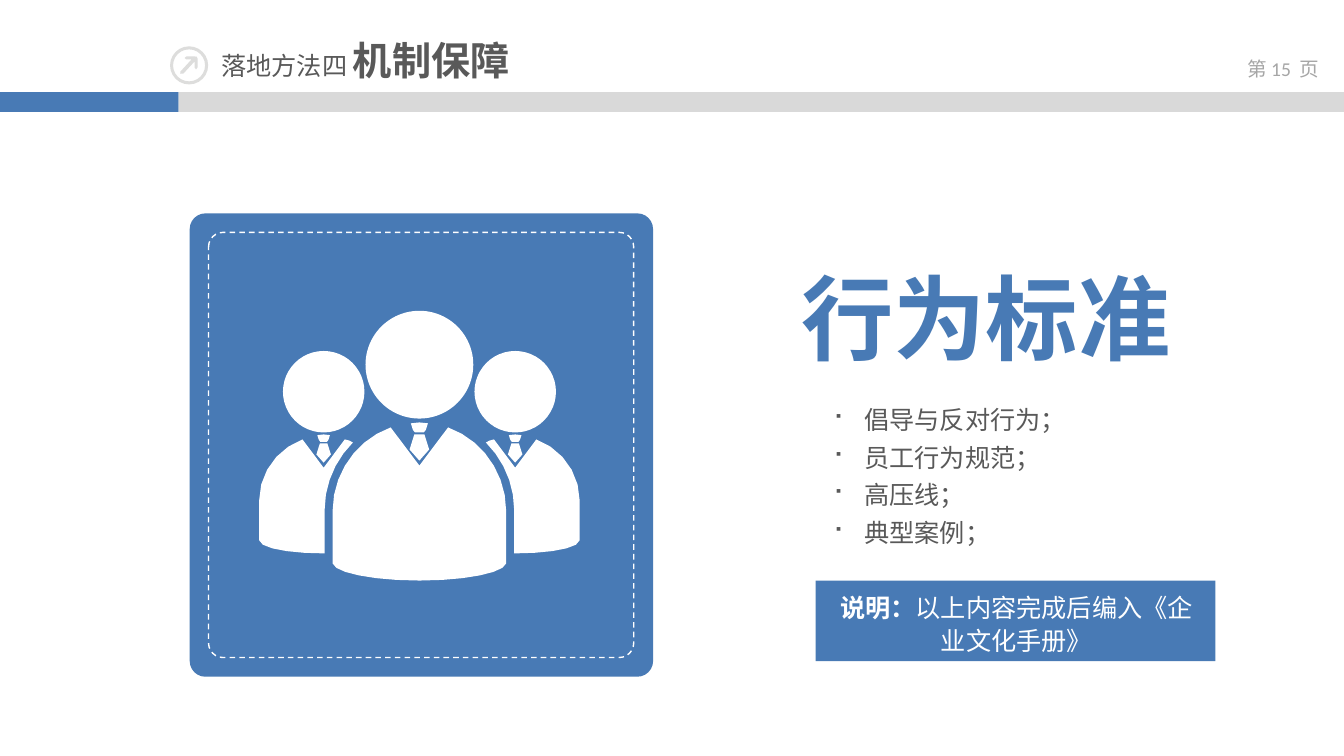
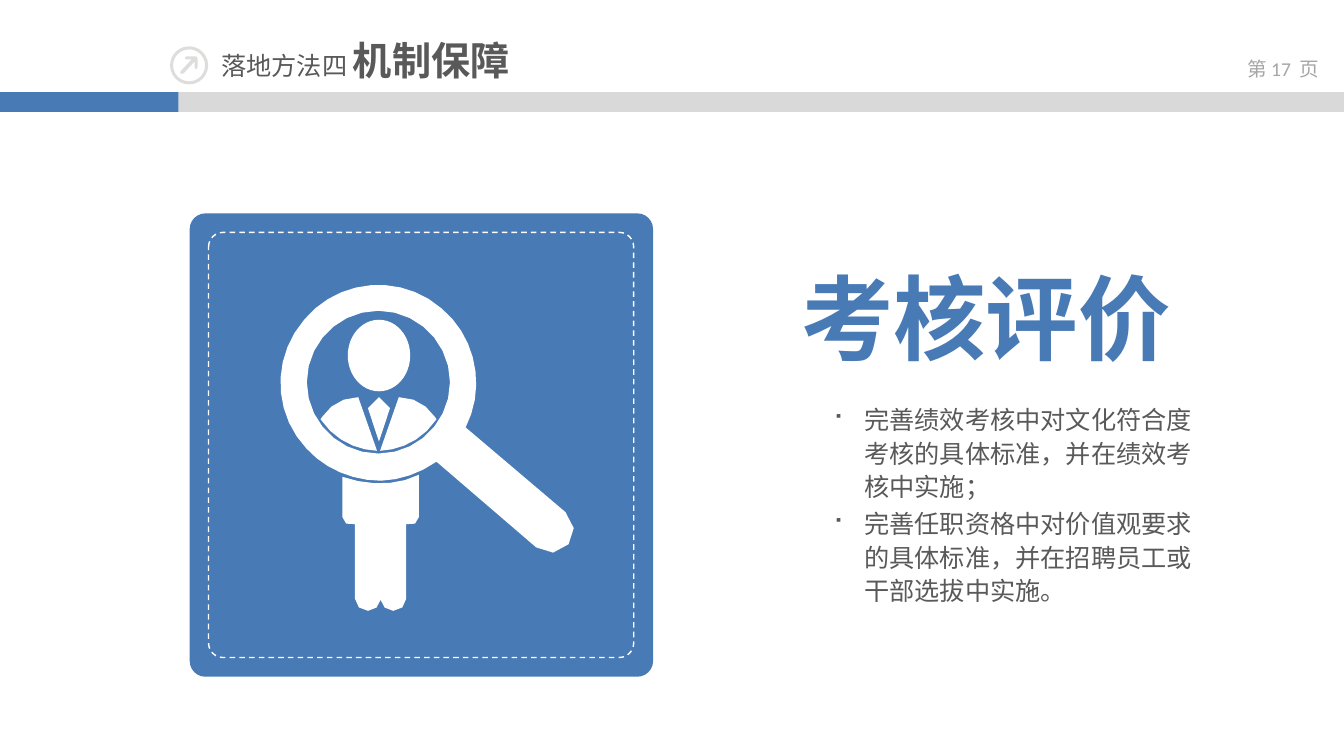
import math

from lxml import etree
from pptx import Presentation
from pptx.dml.color import RGBColor
from pptx.enum import dml, shapes, text
from pptx.oxml import ns
from pptx.util import Pt

BLUE = RGBColor(0x48, 0x7A, 0xB5)
BAND = RGBColor(0xD9, 0xD9, 0xD9)
ICON = RGBColor(0xDD, 0xDD, 0xDC)
DARK = RGBColor(0x59, 0x59, 0x59)
MUTED = RGBColor(0xA6, 0xA6, 0xA6)
WHITE = RGBColor(0xFF, 0xFF, 0xFF)
LATIN, CJK, SYMBOL = "Calibri", "Noto Sans CJK SC", "Wingdings"
PRESET = shapes.MSO_SHAPE
ALIGN = text.PP_ALIGN
CHORD = 10

ARROW = ("M 131 52.6 L 139 43.9 L 139 48.2 C 139 49.7 141.1 50.4 141.1 48.2 L 141.1 41.8 "
         "C 141.1 40.3 140.4 40.3 139 40.3 L 133.2 40.3 C 131 40.3 131.8 42.5 133.2 42.5 "
         "L 136.8 42.5 L 128.9 51.1 C 127.4 52.6 129.6 53.3 131 52.6")
KNOT = ("M -6.1 0.7 C -2.2 -0.2 2.2 -0.2 6.1 0.7 C 6.1 4.3 3.2 7.2 3.2 7.2 "
        "L -3.2 7.2 C -3.2 7.2 -6.1 4.3 -6.1 0.7")
BLADE = "M -3.6 8.6 L 3.6 8.6 L 7 19.4 L 0 27.3 L -7 19.4"
FRONT_BODY = ("M 20.5 305.3 L 0 332.6 L -20.5 305.3 C -44.6 313.9 -62 337.7 -62 365 "
              "L -62 402.5 C -60.5 409 -34 414.7 0 414.7 C 34 414.7 60.5 409 62 402.5 "
              "L 62 365 C 62 337.7 44.6 313.9 20.5 305.3")
SIDE_BODY = ("M 15.1 313.9 L 0 334.1 L -15.1 313.9 C -33.1 320.4 -46.1 337.7 -46.1 357.8 "
             "L -46.1 385.9 C -45.4 391.7 -24.5 395.3 0.7 395.3 L 0.7 364.3 "
             "C 0.7 345.6 8.6 328.3 20.9 316.1 C 19.4 314.6 17.3 314.6 15.1 313.9")
LAPEL = ("M 40.5 298.1 C 34.9 289.4 25.5 283.7 14.5 283.7 L 1.1 322 "
         "C 15 321.5 31 315 41.4 299.5")
SHIRT_TIE = "M -7.9 291.6 L 0 315.4 L 7.9 291.6 L 0 283.7"
LEGS = ("M -27.3 340.6 C -9 347 12 347 27.3 339.1 L 27.3 369.4 C 27.3 373 23 376.5 18.3 374.4 "
        "L 18.3 427.7 C 18.3 432.7 14 436.3 9 436.3 C 4.3 436.3 0.4 432.7 0 428.4 "
        "C -0.4 432.7 -4.3 436.3 -9 436.3 C -14 436.3 -18.3 432.7 -18.3 427.7 "
        "L -18.3 374.4 C -23 376.5 -27.3 373 -27.3 369.4")
MAGNIFIER = ("M 403.9 365.8 L 332.6 305.3 C 347 277.2 340.6 241.2 315.4 220.3 "
             "C 286.6 195.1 241.9 198.7 217.4 228.2 C 193.7 255.6 195.1 295.2 218.9 320.4 "
             "C 232 335 252 343.4 272.2 343.4 C 286 343 300 338 311.8 329.8 L 383 391 "
             "C 390.2 396.7 400.3 396 406.1 388.8 C 411.8 382.3 411.1 372.2 403.9 365.8 "
             "M 219.2 273 C 219.2 245 242 222 270.3 222 C 298.5 222 321.4 245 321.4 273 "
             "C 321.4 301 298.5 324 270.3 324 C 242 324 219.2 301 219.2 273")


def contours(d):
    for part in d.split("M")[1:]:
        points = []
        for step in part.replace("L", "|L").replace("C", "|C").split("|"):
            nums = [float(n) for n in step.strip("LC ").split()]
            pairs = list(zip(nums[::2], nums[1::2]))
            if len(pairs) == 1:
                points += pairs
                continue
            ctrl = [points[-1]] + pairs
            steps = max(2, round(math.dist(ctrl[0], ctrl[-1]) / CHORD))
            for i in range(1, steps + 1):
                t = i / steps
                weights = ((1 - t) ** 3, 3 * t * (1 - t) ** 2, 3 * t * t * (1 - t), t ** 3)
                points.append(tuple(sum(w * c[axis] for w, c in zip(weights, ctrl))
                                    for axis in (0, 1)))
        yield points


class Deck:
    """Holds the presentation, its style and the current slide."""

    def __init__(self):
        self.prs = Presentation()
        self.prs.slide_width, self.prs.slide_height = Pt(960), Pt(540)

    def slide(self, page, headline):
        self.s = self.prs.slides.add_slide(self.prs.slide_layouts[6])
        self.shape(PRESET.RECTANGLE, 0, 65.8, 127.6, 14.2, BLUE)
        self.shape(PRESET.RECTANGLE, 127.6, 65.8, 832.4, 14.2, BAND)
        p = self.box(873.5, 37, 86.4, 28.8).paragraphs[0]
        p.alignment = ALIGN.CENTER
        for word, font in (("第 ", CJK), (f"{page}  ", LATIN), ("页", CJK)):
            self.run(p, word, 14, MUTED, font=font)
        self.shape(PRESET.DONUT, 121.5, 33.1, 27.2, 27.2, ICON, adj=0.08)
        self.outline(ARROW, fill=ICON)
        p = self.box(151, 22.3, 222.5, 41).paragraphs[0]
        self.run(p, "落地方法四 ", 18, DARK)
        self.run(p, "机制保障", 28, DARK, bold=True)
        self.shape(PRESET.ROUNDED_RECTANGLE, 135.5, 152.4, 331, 331, BLUE, adj=0.034)
        frame = self.shape(PRESET.ROUNDED_RECTANGLE, 149, 166, 303.7, 303.7, adj=0.034)
        frame.line.color.rgb = WHITE
        frame.line.width = Pt(1)
        frame.line.dash_style = dml.MSO_LINE.DASH
        p = self.box(563.8, 182.9, 280.8, 87, wrap=False).paragraphs[0]
        p.alignment = ALIGN.CENTER
        self.run(p, headline, 66, BLUE, bold=True)

    def paint(self, sp, fill):
        sp.shadow.inherit = False
        sp.line.fill.background()
        if fill is None:
            sp.fill.background()
        else:
            sp.fill.solid()
            sp.fill.fore_color.rgb = fill
        return sp

    def shape(self, preset, x, y, w, h, fill=None, adj=None):
        sp = self.s.shapes.add_shape(preset, Pt(x), Pt(y), Pt(w), Pt(h))
        if adj is not None:
            sp.adjustments[0] = adj
        return self.paint(sp, fill)

    def outline(self, d, x=0, y=0, sx=1, sy=1, fill=WHITE):
        builder = None
        for points in contours(d):
            pts = [(Pt(x + sx * px), Pt(y + sy * py)) for px, py in points]
            if builder is None:
                builder = self.s.shapes.build_freeform(*pts[0], scale=1.0)
            else:
                builder.move_to(*pts[0])
            builder.add_line_segments(pts[1:], close=True)
        return self.paint(builder.convert_to_shape(), fill)

    def box(self, x, y, w, h, wrap=True):
        tf = self.s.shapes.add_textbox(Pt(x), Pt(y), Pt(w), Pt(h)).text_frame
        tf.word_wrap = wrap
        return tf

    def run(self, p, words, size, color, bold=False, font=LATIN):
        r = p.add_run()
        r.text = words
        r.font.size, r.font.bold = Pt(size), bold
        r.font.color.rgb = color
        r.font.name = font
        etree.SubElement(r.font._element, ns.qn("a:ea"), typeface=CJK)

    def bullets(self, items, h):
        tf = self.box(587.8, 283.4, 276.5, h)
        for i, item in enumerate(items):
            p = tf.add_paragraph() if i else tf.paragraphs[0]
            p.line_spacing, p.space_before = 1.1, Pt(3)
            self.run(p, item, 18, DARK)
            pPr = p._p.get_or_add_pPr()
            pPr.set("marL", str(Pt(22.5)))
            pPr.set("indent", str(Pt(-22.5)))
            etree.SubElement(pPr, ns.qn("a:buFont"), typeface=SYMBOL, charset="2")
            etree.SubElement(pPr, ns.qn("a:buChar"), char="■")
        return tf

    def note(self, tf, label, words):
        p = tf.add_paragraph()
        p.alignment, p.line_spacing, p.space_before = ALIGN.CENTER, 1.1, Pt(30)
        self.run(p, label, 18, WHITE, bold=True)
        self.run(p, words, 18, WHITE)

    def person(self, x, head_top, head, tie_top, tie_scale, body, flip=1):
        self.shape(PRESET.OVAL, x - head / 2, head_top, head, head, WHITE)
        self.outline(body, x, sx=flip)
        for part in (KNOT, BLADE):
            self.outline(part, x, tie_top, tie_scale, tie_scale)

    def team(self):
        center, gap = 299.6, 68.4
        self.person(center, 222, 77, 301.7, 1, FRONT_BODY)
        for side in (-1, 1):
            self.person(center + side * gap, 250.7, 58.2, 310.3, 0.74, SIDE_BODY, -side)

    def inspection(self):
        self.shape(PRESET.OVAL, 248.4, 228.4, 44.6, 51.1, WHITE)
        for side in (-1, 1):
            self.outline(LAPEL, 270.4, sx=side)
        self.outline(SHIRT_TIE, 270.7)
        self.outline(LEGS, 271.9)
        self.outline(MAGNIFIER)


def main():
    deck = Deck()
    deck.slide(15, "行为标准")
    deck.shape(PRESET.RECTANGLE, 582.6, 414.8, 285.5, 57.4, BLUE)
    tf = deck.bullets(["倡导与反对行为；", "员工行为规范；", "高压线；", "典型案例；"], 189.4)
    deck.note(tf, "说明：", "以上内容完成后编入《企业文化手册》")
    deck.team()
    deck.slide(17, "考核评价")
    deck.bullets(["完善绩效考核中对文化符合度考核的具体标准，并在绩效考核中实施；",
                  "完善任职资格中对价值观要求的具体标准，并在招聘员工或干部选拔中实施。"], 152.6)
    deck.inspection()
    deck.prs.save("out.pptx")


if __name__ == "__main__":
    main()
